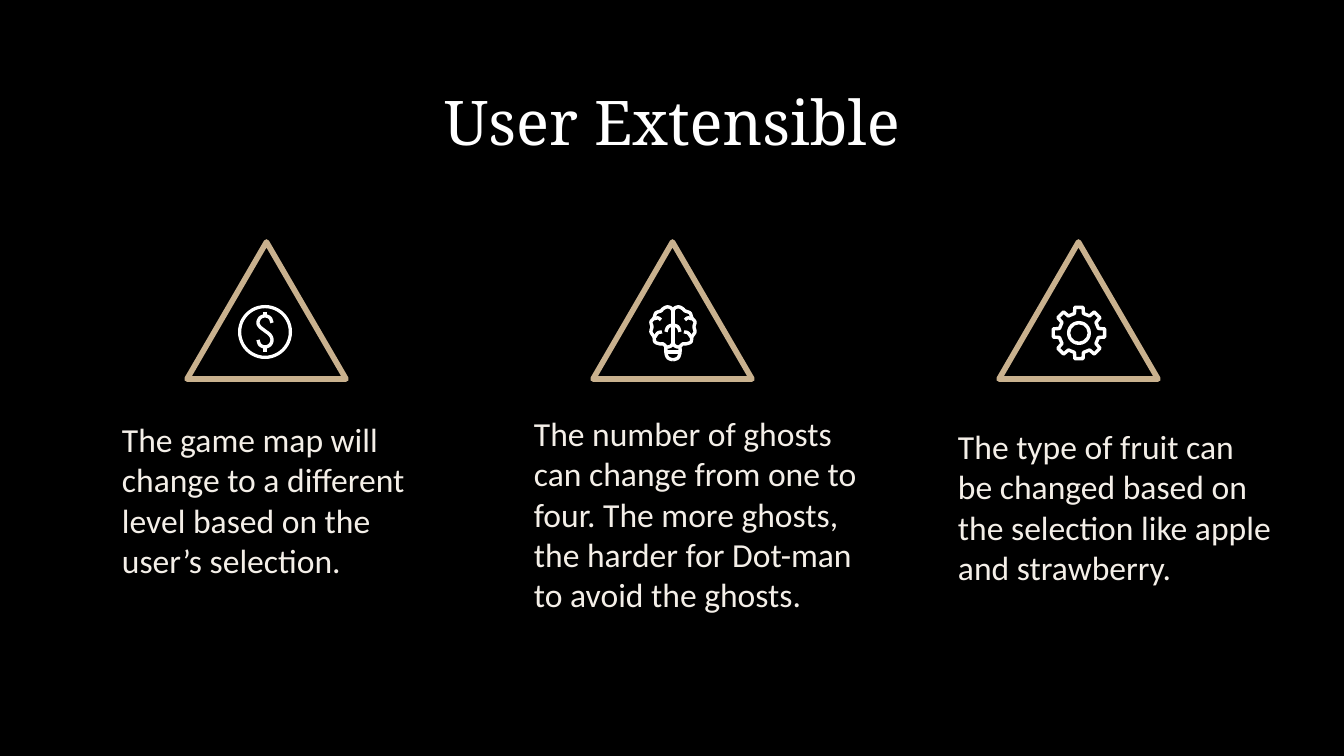
import math

from lxml import etree
from pptx import Presentation
from pptx.dml.color import RGBColor
from pptx.enum.shapes import MSO_SHAPE
from pptx.enum.text import MSO_ANCHOR, PP_ALIGN
from pptx.oxml.ns import qn
from pptx.util import Emu, Pt

TRIANGLE, DONUT = MSO_SHAPE.ISOSCELES_TRIANGLE, MSO_SHAPE.DONUT
TOP = MSO_ANCHOR.TOP
LEFT, CENTER = PP_ALIGN.LEFT, PP_ALIGN.CENTER
COLORS = {"bg": "000000", "title": "FFFFFF", "body": "F4EFE8",
          "triangle": "C9B18E", "icon": "FFFFFF"}
EMU_PER_PX = 914400 / 134.4
STROKE = 1.8


def px(n):
    """Turn px into EMU."""
    return Emu(round(n * EMU_PER_PX))


def rgb(name):
    """Look up a named colour."""
    return RGBColor.from_string(COLORS[name])


def outline(sp, color, width):
    """Give a shape a round-joined outline and no fill."""
    sp.shadow.inherit = False
    sp.fill.background()
    sp.line.color.rgb = rgb(color)
    sp.line.width = Pt(width)
    etree.SubElement(sp.line._get_or_add_ln(), qn("a:round"))


def add_text(s, box, text, size, font, color, align, indent=13):
    """Place a wrapped, top-anchored paragraph in a box."""
    sp = s.shapes.add_textbox(*map(px, box))
    tf = sp.text_frame
    tf.word_wrap = True
    tf.vertical_anchor = TOP
    tf.margin_left = px(indent)
    tf.margin_right = tf.margin_top = tf.margin_bottom = px(13)
    tf.text = text
    p = tf.paragraphs[0]
    p.alignment = align
    f = p.runs[0].font
    f.size, f.name, f.color.rgb = Pt(size), font, rgb(color)


def smooth(points, steps=6):
    """Interpolate a Catmull-Rom curve through the points."""
    padded = [points[0], *points, points[-1]]
    curve = [points[0]]
    for a, b, c, d in zip(padded, padded[1:], padded[2:], padded[3:]):
        for i in range(1, steps + 1):
            t = i / steps
            curve.append(tuple(
                (2 * q + (r - o) * t + (2 * o - 5 * q + 4 * r - u) * t ** 2
                 + (3 * q - o - 3 * r + u) * t ** 3) / 2
                for o, q, r, u in zip(a, b, c, d)))
    return curve


def add_strokes(s, x, y, paths, close=False):
    """Draw several polylines as one outlined freeform."""
    placed = [[(px(x + u), px(y + v)) for u, v in path] for path in paths]
    fb = s.shapes.build_freeform(*placed[0][0])
    for i, path in enumerate(placed):
        if i:
            fb.move_to(*path[0])
        fb.add_line_segments(path[1:], close=close)
    outline(fb.convert_to_shape(), "icon", STROKE)


def add_ring(s, x, y, size):
    """Draw a thin filled ring."""
    sp = s.shapes.add_shape(DONUT, px(x), px(y), px(size), px(size))
    sp.adjustments[0] = round(3.4 / size, 2)
    sp.shadow.inherit = False
    sp.fill.solid()
    sp.fill.fore_color.rgb = rgb("icon")
    sp.line.fill.background()


def dollar_icon(s, x, y):
    """Draw a dollar sign in a ring."""
    curl = [(34, 18), (32, 13), (27, 11), (22, 13), (20, 18), (22, 22), (27, 26),
            (32, 30), (34, 35), (32, 40), (27, 42), (22, 40), (20, 35)]
    add_strokes(s, x, y, [smooth(curl), [(27, 7), (27, 11)], [(27, 42), (27, 47)]])
    add_ring(s, x, y, 54)


def brain_icon(s, x, y):
    """Draw a symmetric brain with a bulb base."""
    half = [
        [(24, 6), (22, 3), (18, 2), (14, 4), (12, 6), (7, 8), (5, 13), (2, 17),
         (3, 22), (2, 27), (5, 32), (6, 37), (11, 39), (14, 39), (18, 42),
         (22, 41), (24, 38)],
        [(5, 14), (9, 13), (12, 15)],
        [(13, 27), (9, 28), (6, 32)],
        [(24, 20), (19, 22), (17, 27)],
        [(17, 42), (17, 48), (19, 53), (24, 55)],
    ]
    mirrored = [[(48 - u, v) for u, v in path] for path in half]
    axes = [[(24, 6), (24, 38)], [(17, 47), (31, 47)]]
    add_strokes(s, x, y, [smooth(path) for path in half + mirrored] + axes)


def gear_icon(s, x, y):
    """Draw an eight-toothed gear around a ring."""
    profile = [(-13, 20), (-9, 26), (9, 26), (13, 20)]
    rim = [(28 + r * math.sin(math.radians(45 * tooth + angle)),
            28 - r * math.cos(math.radians(45 * tooth + angle)))
           for tooth in range(8) for angle, r in profile]
    add_strokes(s, x, y, [rim], close=True)
    add_ring(s, x + 16, y + 16, 24)


def add_feature(s, x, y, icon, icon_x, text_box, indent, text):
    """Place a triangle, its icon and its description."""
    sp = s.shapes.add_shape(TRIANGLE, px(x), px(y), px(159), px(137))
    outline(sp, "triangle", 3)
    icon(s, x + icon_x, y + 63)
    dx, dy, w, h = text_box
    add_text(s, (x + dx, y + dy, w, h), text, 18, "Calibri", "body", LEFT, indent)


def main():
    """Build the slide and save it."""
    prs = Presentation()
    prs.slide_width, prs.slide_height = px(1344), px(756)
    s = prs.slides.add_slide(prs.slide_layouts[6])
    s.background.fill.solid()
    s.background.fill.fore_color.rgb = rgb("bg")
    add_text(s, (103, 71, 1138, 97), "User Extensible", 33, "Noto Serif",
             "title", CENTER)
    features = [
        (dollar_icon, 51, (-143, 164, 423, 228), 78,
         "The game map will change to a different level based on the user’s "
         "selection."),
        (brain_icon, 56, (-123, 158, 423, 210), 64,
         "The number of ghosts can change from one to four. The more ghosts, "
         "the harder for Dot-man to avoid the ghosts."),
        (gear_icon, 52, (-105, 171, 394, 228), 64,
         "The type of fruit can be changed based on the selection like apple "
         "and strawberry."),
    ]
    for i, feature in enumerate(features):
        add_feature(s, 187 + 406 * i, 242, *feature)
    prs.save("out.pptx")


if __name__ == "__main__":
    main()
